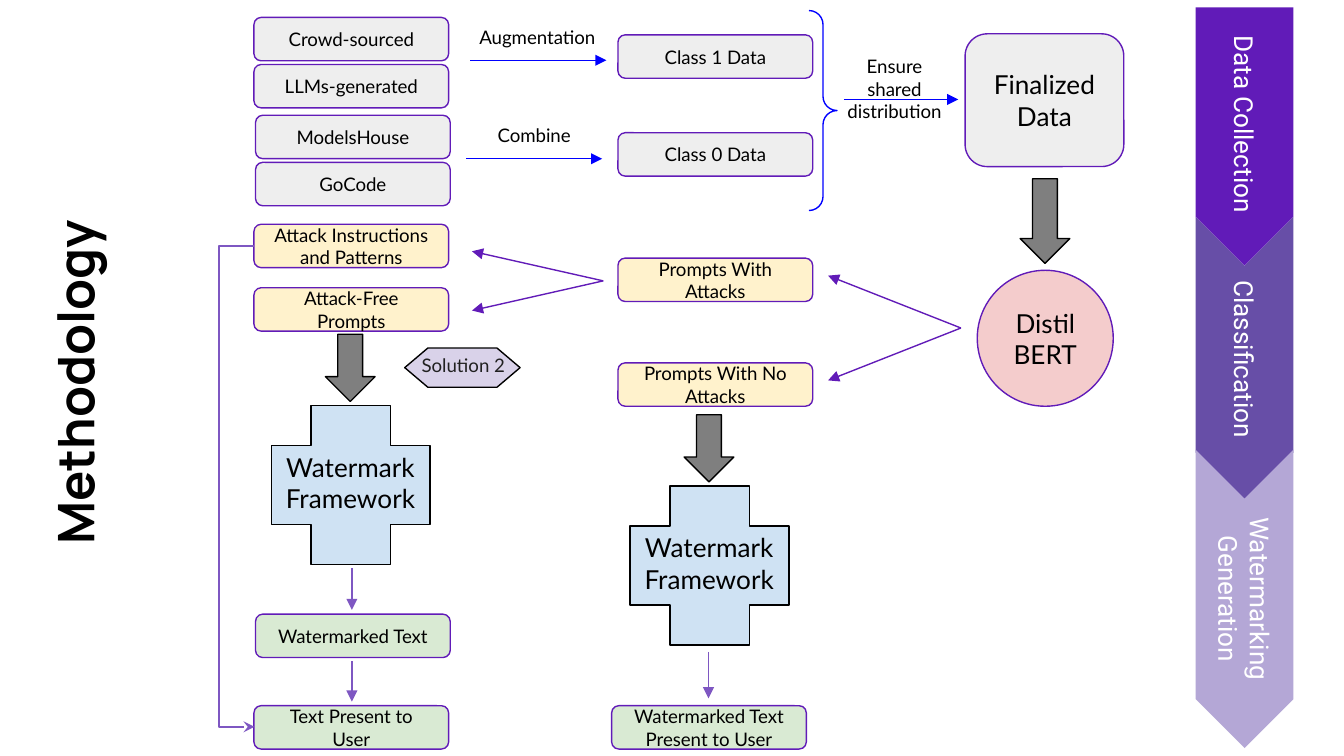
"""Build the Methodology flow slide."""
from lxml.etree import SubElement
from pptx import Presentation
from pptx.dml.color import RGBColor
from pptx.enum.shapes import MSO_CONNECTOR, MSO_SHAPE
from pptx.enum.text import MSO_ANCHOR, PP_ALIGN
from pptx.oxml.ns import qn
from pptx.util import Cm, Pt

BLACK = RGBColor(0x00, 0x00, 0x00)
WHITE = RGBColor(0xFF, 0xFF, 0xFF)
CHARCOAL = RGBColor(0x21, 0x21, 0x21)
GRAY = RGBColor(0x7F, 0x7F, 0x7F)
LIGHT_GRAY = RGBColor(0xEE, 0xEE, 0xEE)
BLUE = RGBColor(0x00, 0x00, 0xFF)
PURPLE = RGBColor(0x61, 0x1B, 0xB8)
MID_PURPLE = RGBColor(0x67, 0x4E, 0xA7)
SOFT_PURPLE = RGBColor(0x7E, 0x57, 0xC2)
PALE_PURPLE = RGBColor(0xB4, 0xA7, 0xD6)
LILAC = RGBColor(0xD9, 0xD2, 0xE9)
YELLOW = RGBColor(0xFF, 0xF2, 0xCC)
PINK = RGBColor(0xF4, 0xCC, 0xCC)
GREEN = RGBColor(0xD9, 0xEA, 0xD3)
SKY = RGBColor(0xCF, 0xE2, 0xF3)

STEP_SIZE = (3.68, 0.82)
LEFT, MIDDLE = 4.8, 11.68
STEPS = [
    ("Crowd-sourced", LEFT, 0.33, LIGHT_GRAY),
    ("LLMs-generated", LEFT, 1.22, LIGHT_GRAY),
    ("ModelsHouse", 4.83, 2.18, LIGHT_GRAY),
    ("GoCode", 4.83, 3.07, LIGHT_GRAY),
    ("Class 1 Data", MIDDLE, 0.66, LIGHT_GRAY),
    ("Class 0 Data", MIDDLE, 2.51, LIGHT_GRAY),
    ("Attack Instructions and Patterns", LEFT, 4.24, YELLOW),
    ("Attack-Free Prompts", LEFT, 5.44, YELLOW),
    ("Prompts With Attacks", MIDDLE, 4.88, YELLOW),
    ("Prompts With No Attacks", MIDDLE, 6.86, YELLOW),
    ("Watermarked Text", 4.83, 11.61, GREEN),
    ("Text Present to User", LEFT, 13.34, GREEN),
    ("Watermarked Text Present to User", 11.56, 13.34, GREEN),
]
LABELS = [
    ("Augmentation", (8.81, 0.28, 2.77, 0.94), PP_ALIGN.LEFT),
    ("Combine", (8.71, 2.13, 2.77, 0.94), PP_ALIGN.CENTER),
    ("Ensure shared distribution", (15.7, 0.79, 2.41, 1.8), PP_ALIGN.CENTER),
]
PHASE_CENTER, PHASE_WIDTH = 23.52, 1.85
PHASES = [
    ("Data Collection", MSO_SHAPE.PENTAGON, 0.14, 4.88, PURPLE),
    ("Classification", MSO_SHAPE.CHEVRON, 4.1, 5.38, MID_PURPLE),
    ("Watermarking Generation", MSO_SHAPE.CHEVRON, 8.5, 5.64, PALE_PURPLE),
]
FRAMEWORKS = [(5.13, 7.67), (11.91, 9.19)]
ARROWS = [
    ((8.89, 1.14), (11.46, 1.14), BLUE),
    ((8.81, 3.0), (11.38, 3.0), BLUE),
    ((15.95, 1.88), (18.11, 1.88), BLUE),
    ((18.16, 6.2), (15.65, 5.21), PURPLE),
    ((18.16, 6.2), (15.65, 7.19), PURPLE),
    ((11.4, 5.31), (8.92, 4.75), PURPLE),
    ((11.4, 5.31), (8.92, 5.87), PURPLE),
    ((13.39, 12.32), (13.39, 13.2), SOFT_PURPLE),
    ((6.65, 10.74), (6.65, 11.53), SOFT_PURPLE),
    ((6.65, 12.5), (6.65, 13.26), SOFT_PURPLE),
]
BYPASS_REACH, BYPASS_OFFSET = 0.66, 0.01


def write(shape, text, size=10, font="Lato", color=BLACK, bold=False,
          align=PP_ALIGN.CENTER, anchor=MSO_ANCHOR.MIDDLE):
    frame = shape.text_frame
    frame.word_wrap = True
    frame.vertical_anchor = anchor
    frame.margin_left = frame.margin_right = Cm(0.25)
    frame.margin_top = frame.margin_bottom = Cm(0.25)
    paragraph = frame.paragraphs[0]
    paragraph.alignment = align
    run = paragraph.add_run()
    run.text = text
    run.font.size, run.font.name, run.font.bold = Pt(size), font, bold
    run.font.color.rgb = color


def add_shape(slide, preset, box, fill=None, line=None):
    shape = slide.shapes.add_shape(preset, *map(Cm, box))
    shape.shadow.inherit = False
    if fill is None:
        shape.fill.background()
    else:
        shape.fill.solid()
        shape.fill.fore_color.rgb = fill
    if line is None:
        shape.line.fill.background()
    else:
        shape.line.color.rgb = line
        shape.line.width = Pt(0.75)
    return shape


def add_label(slide, text, box, **style):
    label = slide.shapes.add_textbox(*map(Cm, box))
    write(label, text, anchor=MSO_ANCHOR.TOP, **style)
    return label


def add_arrow(slide, start, end, color, kind=MSO_CONNECTOR.STRAIGHT, head="triangle"):
    arrow = slide.shapes.add_connector(kind, *map(Cm, start + end))
    arrow.line.color.rgb = color
    arrow.line.width = Pt(0.75)
    properties = arrow._element.spPr
    SubElement(properties.find(qn("a:ln")), qn("a:tailEnd"), type=head)
    SubElement(properties, qn("a:effectLst"))
    return arrow


def main():
    deck = Presentation()
    deck.slide_width, deck.slide_height = Cm(25.4), Cm(14.29)
    slide = deck.slides.add_slide(deck.slide_layouts[6])

    title = add_label(slide, "Methodology", (-1.96, 6.27, 6.81, 1.73), size=27,
                      font="Manrope", bold=True, align=PP_ALIGN.LEFT)
    title.rotation = 270

    for text, left, top, fill in STEPS:
        step = add_shape(slide, MSO_SHAPE.ROUNDED_RECTANGLE,
                         (left, top, *STEP_SIZE), fill, PURPLE)
        write(step, text)

    brace = add_shape(slide, MSO_SHAPE.RIGHT_BRACE, (15.29, 0.2, 0.53, 3.78), line=BLUE)
    brace.adjustments[0] = 0.5

    finalized = add_shape(slide, MSO_SHAPE.ROUNDED_RECTANGLE,
                          (18.24, 0.64, 3, 2.51), LIGHT_GRAY, PURPLE)
    write(finalized, "Finalized Data", size=14)
    classifier = add_shape(slide, MSO_SHAPE.OVAL, (18.47, 5.11, 2.57, 2.57), PINK, PURPLE)
    write(classifier, "DistilBERT", size=14)
    add_shape(slide, MSO_SHAPE.DOWN_ARROW, (19.28, 3.38, 0.94, 1.6), GRAY, BLACK)

    for text, preset, top, length, fill in PHASES:
        box = (PHASE_CENTER - length / 2, top + (length - PHASE_WIDTH) / 2,
               length, PHASE_WIDTH)
        phase = add_shape(slide, preset, box, fill)
        phase.rotation = 90
        write(phase, text, size=14, font="Roboto", color=WHITE)

    for left, top in FRAMEWORKS:
        add_shape(slide, MSO_SHAPE.DOWN_ARROW, (left + 1.02, top - 1.35, 0.94, 1.27),
                  GRAY, BLACK)
        add_shape(slide, MSO_SHAPE.CROSS, (left, top, 3, 3), SKY, BLACK)
        add_label(slide, "Watermark Framework", (left - 0.13, top + 0.61, 3.25, 1.7),
                  size=14)

    add_shape(slide, MSO_SHAPE.FLOWCHART_PREPARATION, (7.65, 6.58, 2.18, 0.74),
              LILAC, BLACK)
    add_label(slide, "Solution 2", (7.72, 6.48, 2.18, 0.94), color=CHARCOAL,
              align=PP_ALIGN.LEFT)

    for text, box, align in LABELS:
        add_label(slide, text, box, align=align)
    for start, end, color in ARROWS:
        add_arrow(slide, start, end, color)

    bypass = add_arrow(slide, (LEFT, 4.65), (LEFT + BYPASS_OFFSET, 13.74), SOFT_PURPLE,
                       kind=MSO_CONNECTOR.ELBOW, head="stealth")
    guides = bypass._element.spPr.find(qn("a:prstGeom")).find(qn("a:avLst"))
    bend = round(-BYPASS_REACH / BYPASS_OFFSET * 100000)
    SubElement(guides, qn("a:gd"), name="adj1", fmla=f"val {bend}")

    deck.save("out.pptx")


if __name__ == "__main__":
    main()
